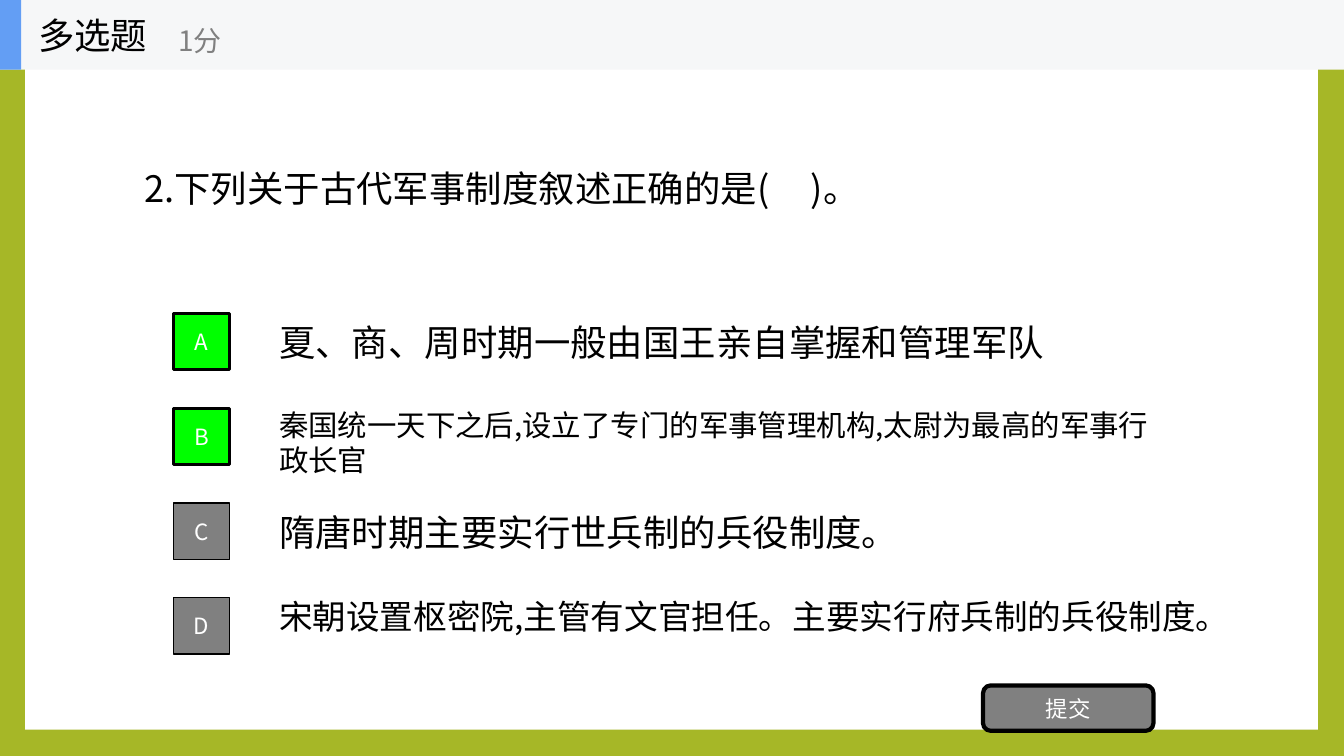
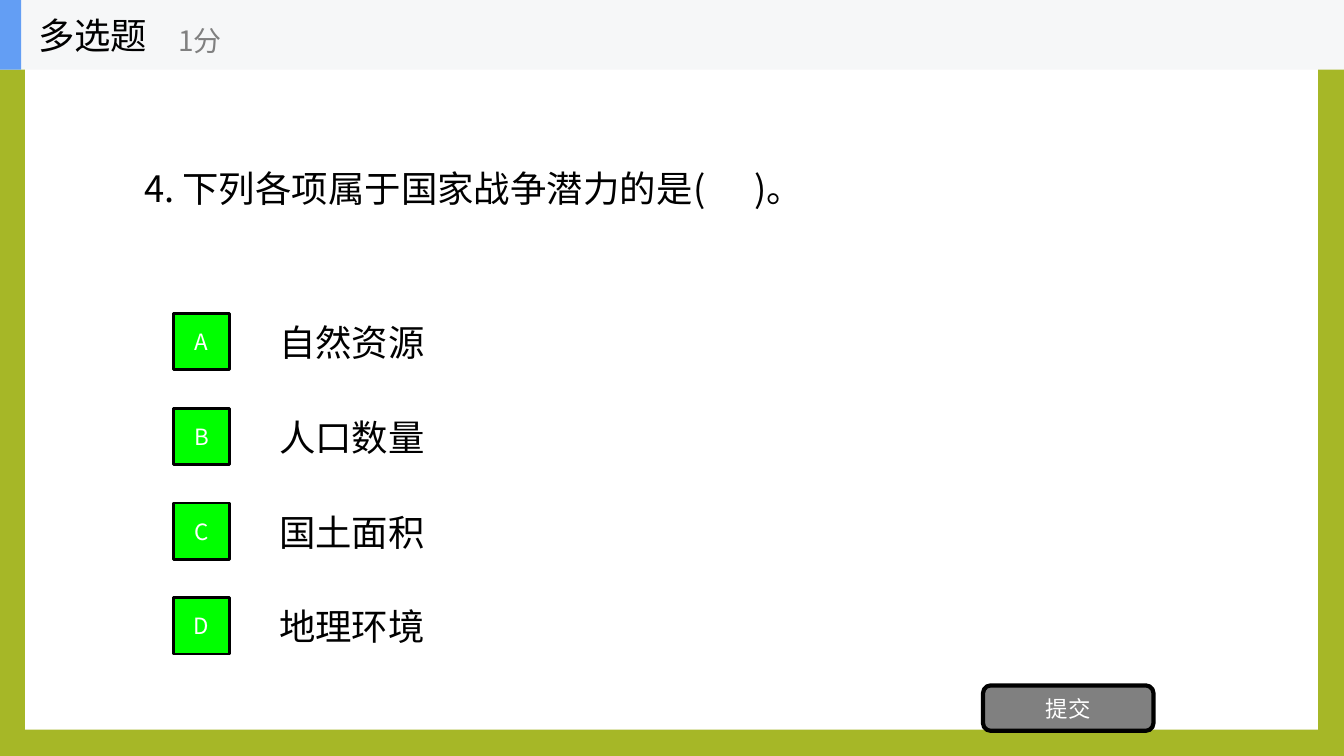
from lxml.etree import SubElement
from pptx import Presentation
from pptx.dml.color import RGBColor
from pptx.enum.shapes import MSO_SHAPE as SHAPE
from pptx.enum.text import MSO_ANCHOR as ANCHOR, PP_ALIGN as ALIGN
from pptx.oxml.ns import qn
from pptx.util import Inches, Pt

FONT = "Noto Sans CJK SC"
OLIVE = RGBColor(0xA6, 0xB7, 0x27)
WHITE = RGBColor(0xFF, 0xFF, 0xFF)
BLACK = RGBColor(0x00, 0x00, 0x00)
GRAY = RGBColor(0x80, 0x80, 0x80)
GREEN = RGBColor(0x00, 0xFF, 0x00)
BAND = RGBColor(0xF6, 0xF7, 0xF8)
BLUE = RGBColor(0x63, 0x9E, 0xF4)

BADGE_TOP = 3.11
BADGE_STEP = 0.94
BADGE_SIZE = 0.56

QUESTIONS = [
    ("2.下列关于古代军事制度叙述正确的是(     )。", 7.52, [
        ("夏、商、周时期一般由国王亲自掌握和管理军队", True, 26, 7.89, 0.53, 0.02),
        ("秦国统一天下之后,设立了专门的军事管理机构,太尉为最高的军事行政长官", True, 21, 9.04, 0.81, -0.07),
        ("隋唐时期主要实行世兵制的兵役制度。", False, 26, 6.45, 0.53, 0.02),
        ("宋朝设置枢密院,主管有文官担任。主要实行府兵制的兵役制度。", False, 24, 9.31, 0.5, -0.07),
    ]),
    ("4. 下列各项属于国家战争潜力的是(      )。", 7.02, [
        (text, True, 26, 1.75, 0.53, 0.02)
        for text in ("自然资源", "人口数量", "国土面积", "地理环境")
    ]),
]


def add_text(shape, text, size, color, align=ALIGN.LEFT, wrap=True):
    frame = shape.text_frame
    frame.word_wrap = wrap
    frame.vertical_anchor = ANCHOR.MIDDLE
    paragraph = frame.paragraphs[0]
    paragraph.alignment = align
    run = paragraph.add_run()
    run.text = text
    run.font.size = Pt(size)
    run.font.name = FONT
    run.font.color.rgb = color
    SubElement(run.font._element, qn("a:ea")).set("typeface", FONT)


def add_box(shapes, box, fill, line_width=0, kind=SHAPE.RECTANGLE):
    shape = shapes.add_shape(kind, *map(Inches, box))
    shape.shadow.inherit = False
    shape.fill.solid()
    shape.fill.fore_color.rgb = fill
    if line_width:
        shape.line.color.rgb = BLACK
        shape.line.width = Pt(line_width)
    else:
        shape.line.fill.background()
    return shape


presentation = Presentation()
presentation.slide_width = Inches(13.33)
presentation.slide_height = Inches(7.5)
background = presentation.slide_master.background.fill
background.solid()
background.fore_color.rgb = OLIVE

for question, question_width, options in QUESTIONS:
    slide = presentation.slides.add_slide(presentation.slide_layouts[6])
    shapes = slide.shapes
    add_box(shapes, (0.25, 0.27, 12.82, 6.97), WHITE)

    question_box = shapes.add_textbox(Inches(1.33), Inches(1.6), Inches(question_width), Inches(0.53))
    add_text(question_box, question, 26, BLACK)

    for row, (text, correct, size, width, height, drop) in enumerate(options):
        top = BADGE_TOP + row * BADGE_STEP
        option_box = shapes.add_textbox(Inches(2.67), Inches(top + drop), Inches(width), Inches(height))
        add_text(option_box, text, size, BLACK)
        fill, line_width = (GREEN, 2) if correct else (GRAY, 1)
        badge = add_box(shapes, (1.72, top, BADGE_SIZE, BADGE_SIZE), fill, line_width)
        add_text(badge, "ABCD"[row], 16, WHITE, ALIGN.CENTER)

    submit = add_box(shapes, (9.75, 6.8, 1.69, 0.45), GRAY, 3, SHAPE.ROUNDED_RECTANGLE)
    add_text(submit, "提交", 16, WHITE, ALIGN.CENTER)

    header = shapes.add_group_shape().shapes
    add_box(header, (0, 0, 13.33, 0.69), BAND)
    add_box(header, (0, 0, 0.21, 0.69), BLUE)
    title = header.add_textbox(Inches(0.28), Inches(0), Inches(2.08), Inches(0.69))
    add_text(title, "多选题", 26, BLACK, wrap=False)
    score = header.add_textbox(Inches(1.67), Inches(0.12), Inches(2.5), Inches(0.56))
    add_text(score, "1分", 20, GRAY, wrap=False)

presentation.save("out.pptx")
